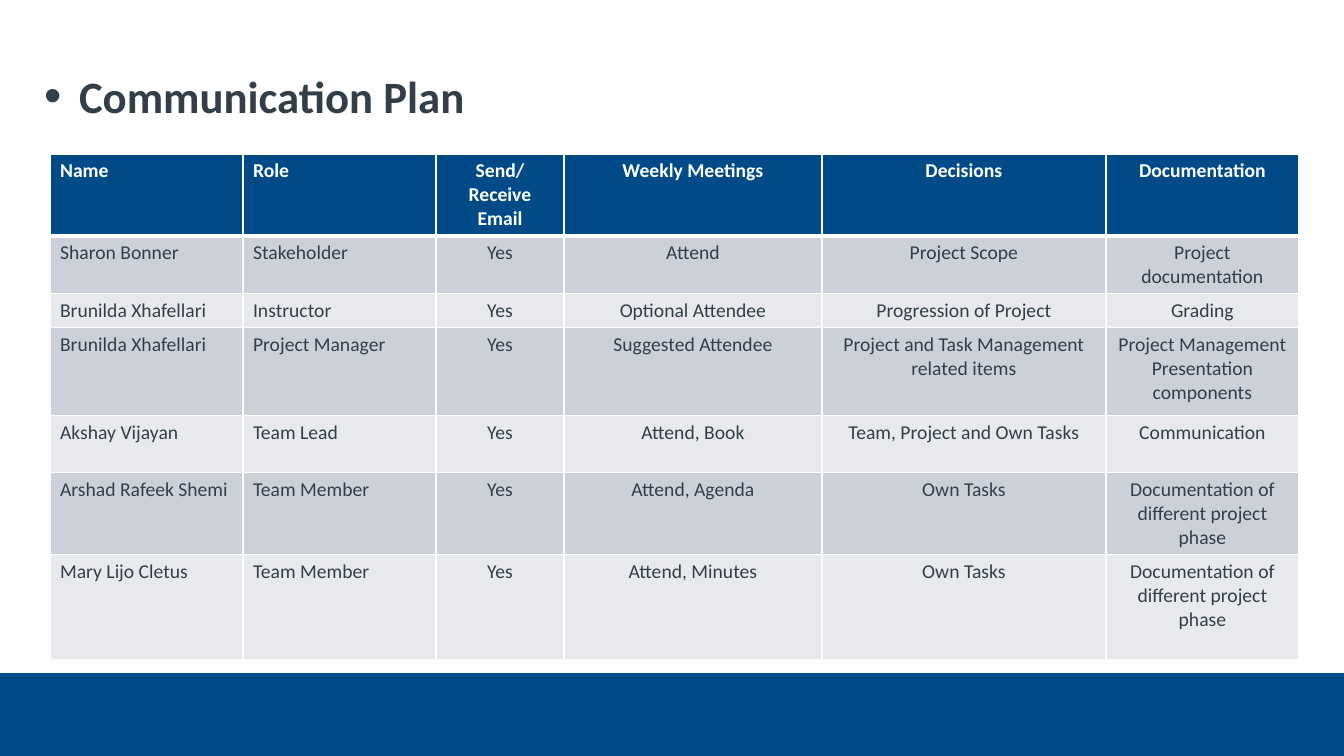
import dataclasses

import lxml.etree
import pptx
import pptx.dml.color
import pptx.enum.shapes
import pptx.enum.text
import pptx.oxml.ns
import pptx.util

EMU_PER_PX = 914400 / 100.8
FONT = "Calibri"
COLORS = {
    "blue": "004B87",
    "ink": "333F48",
    "white": "FFFFFF",
    "dark_band": "CCD0D9",
    "light_band": "E7E9ED",
}
ALIGN = pptx.enum.text.PP_ALIGN


@dataclasses.dataclass
class Column:
    heading: str
    width: int
    align: ALIGN


@dataclasses.dataclass
class Row:
    height: int
    texts: tuple[str, ...]


COLUMNS = [
    Column("Name", 193, ALIGN.LEFT),
    Column("Role", 193, ALIGN.LEFT),
    Column("Send/Receive Email", 128, ALIGN.CENTER),
    Column("Weekly Meetings", 258, ALIGN.CENTER),
    Column("Decisions", 284, ALIGN.CENTER),
    Column("Documentation", 193, ALIGN.CENTER),
]
PHASES = "Documentation of different project phase"
ROWS = [
    Row(82, tuple(column.heading for column in COLUMNS)),
    Row(57, ("Sharon Bonner", "Stakeholder", "Yes", "Attend", "Project Scope",
             "Project documentation")),
    Row(34, ("Brunilda Xhafellari", "Instructor", "Yes", "Optional Attendee",
             "Progression of Project", "Grading")),
    Row(88, ("Brunilda Xhafellari", "Project Manager", "Yes", "Suggested Attendee",
             "Project and Task Management related items",
             "Project Management Presentation components")),
    Row(57, ("Akshay Vijayan", "Team Lead", "Yes", "Attend, Book",
             "Team, Project and Own Tasks", "Communication")),
    Row(82, ("Arshad Rafeek Shemi", "Team Member", "Yes", "Attend, Agenda",
             "Own Tasks", PHASES)),
    Row(105, ("Mary Lijo Cletus", "Team Member", "Yes", "Attend, Minutes",
              "Own Tasks", PHASES)),
]


def px(length: int) -> pptx.util.Emu:
    return pptx.util.Emu(round(length * EMU_PER_PX))


def rgb(name: str) -> pptx.dml.color.RGBColor:
    return pptx.dml.color.RGBColor.from_string(COLORS[name])


def add_run(paragraph, text: str, size: int, color: str, bold: bool) -> None:
    run = paragraph.add_run()
    run.text = text
    run.font.name = FONT
    run.font.size = pptx.util.Pt(size)
    run.font.bold = bold
    run.font.color.rgb = rgb(color)


def add_bullet(paragraph, indent: int) -> None:
    properties = paragraph._p.get_or_add_pPr()
    properties.set("marL", str(px(indent)))
    properties.set("indent", str(-px(indent)))
    for tag, key, value in (("a:buSzPct", "val", "110000"),
                            ("a:buFont", "typeface", "Arial"),
                            ("a:buChar", "char", "•")):
        lxml.etree.SubElement(properties, pptx.oxml.ns.qn(tag)).set(key, value)


def set_borders(cell, top: int, bottom: int) -> None:
    properties = cell._tc.get_or_add_tcPr()
    widths = {"a:lnL": 1, "a:lnR": 1, "a:lnT": top, "a:lnB": bottom}
    for position, (tag, width) in enumerate(widths.items()):
        line = lxml.etree.Element(pptx.oxml.ns.qn(tag), w=str(pptx.util.Pt(width)))
        fill = lxml.etree.SubElement(line, pptx.oxml.ns.qn("a:solidFill"))
        lxml.etree.SubElement(fill, pptx.oxml.ns.qn("a:srgbClr"), val=COLORS["white"])
        properties.insert(position, line)


def add_footer_bar(slide) -> None:
    bar = slide.shapes.add_shape(pptx.enum.shapes.MSO_SHAPE.RECTANGLE,
                                 0, px(673), px(1344), px(83))
    bar.shadow.inherit = False
    bar.fill.solid()
    bar.fill.fore_color.rgb = rgb("blue")
    bar.line.fill.background()


def fill_title(slide) -> None:
    title = slide.shapes.title
    title.left, title.top, title.width, title.height = px(44), px(64), px(1208), px(64)
    frame = title.text_frame
    frame.margin_left = frame.margin_right = frame.margin_top = frame.margin_bottom = 0
    frame.vertical_anchor = pptx.enum.text.MSO_ANCHOR.MIDDLE
    frame.auto_size = pptx.enum.text.MSO_AUTO_SIZE.NONE
    paragraph = frame.paragraphs[0]
    paragraph.alignment = ALIGN.LEFT
    add_bullet(paragraph, 35)
    add_run(paragraph, "Communication Plan", 32, "ink", True)


def add_plan_table(slide) -> None:
    width = sum(column.width for column in COLUMNS)
    height = sum(row.height for row in ROWS)
    table = slide.shapes.add_table(len(ROWS), len(COLUMNS), px(50), px(154),
                                   px(width), px(height)).table
    for index, column in enumerate(COLUMNS):
        table.columns[index].width = px(column.width)
    for row_index, row in enumerate(ROWS):
        table.rows[row_index].height = px(row.height)
        header = row_index == 0
        band = "blue" if header else "dark_band" if row_index % 2 else "light_band"
        for column_index, (column, text) in enumerate(zip(COLUMNS, row.texts)):
            cell = table.cell(row_index, column_index)
            cell.fill.solid()
            cell.fill.fore_color.rgb = rgb(band)
            set_borders(cell, 3 if row_index == 1 else 1, 3 if header else 1)
            paragraph = cell.text_frame.paragraphs[0]
            paragraph.alignment = column.align
            add_run(paragraph, text, 14, "white" if header else "ink", header)


def main() -> None:
    presentation = pptx.Presentation()
    presentation.slide_width, presentation.slide_height = px(1344), px(756)
    slide = presentation.slides.add_slide(presentation.slide_layouts[5])
    # Footer band
    add_footer_bar(slide)
    # Heading
    fill_title(slide)
    # Communication table
    add_plan_table(slide)
    presentation.save("out.pptx")


if __name__ == "__main__":
    main()
